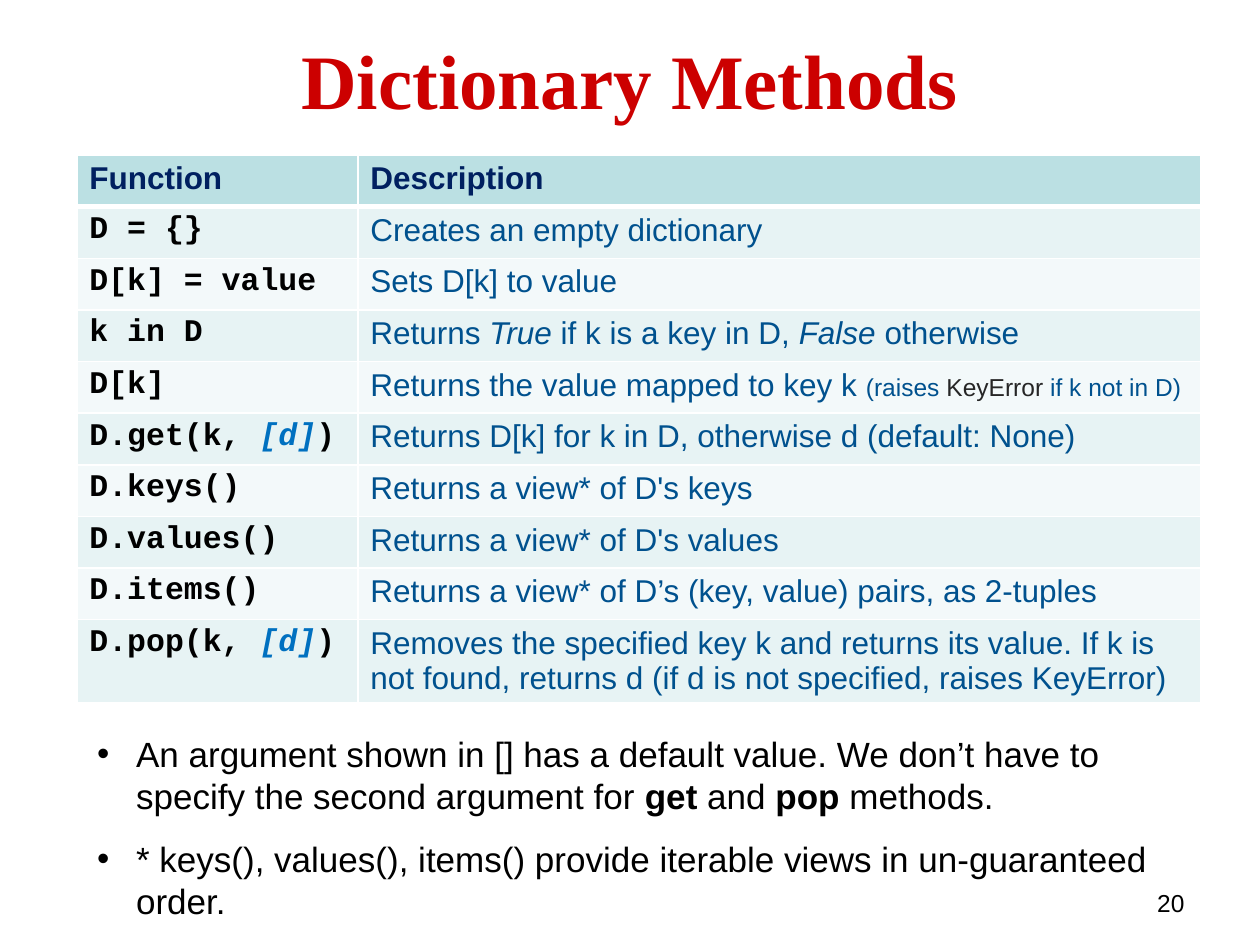
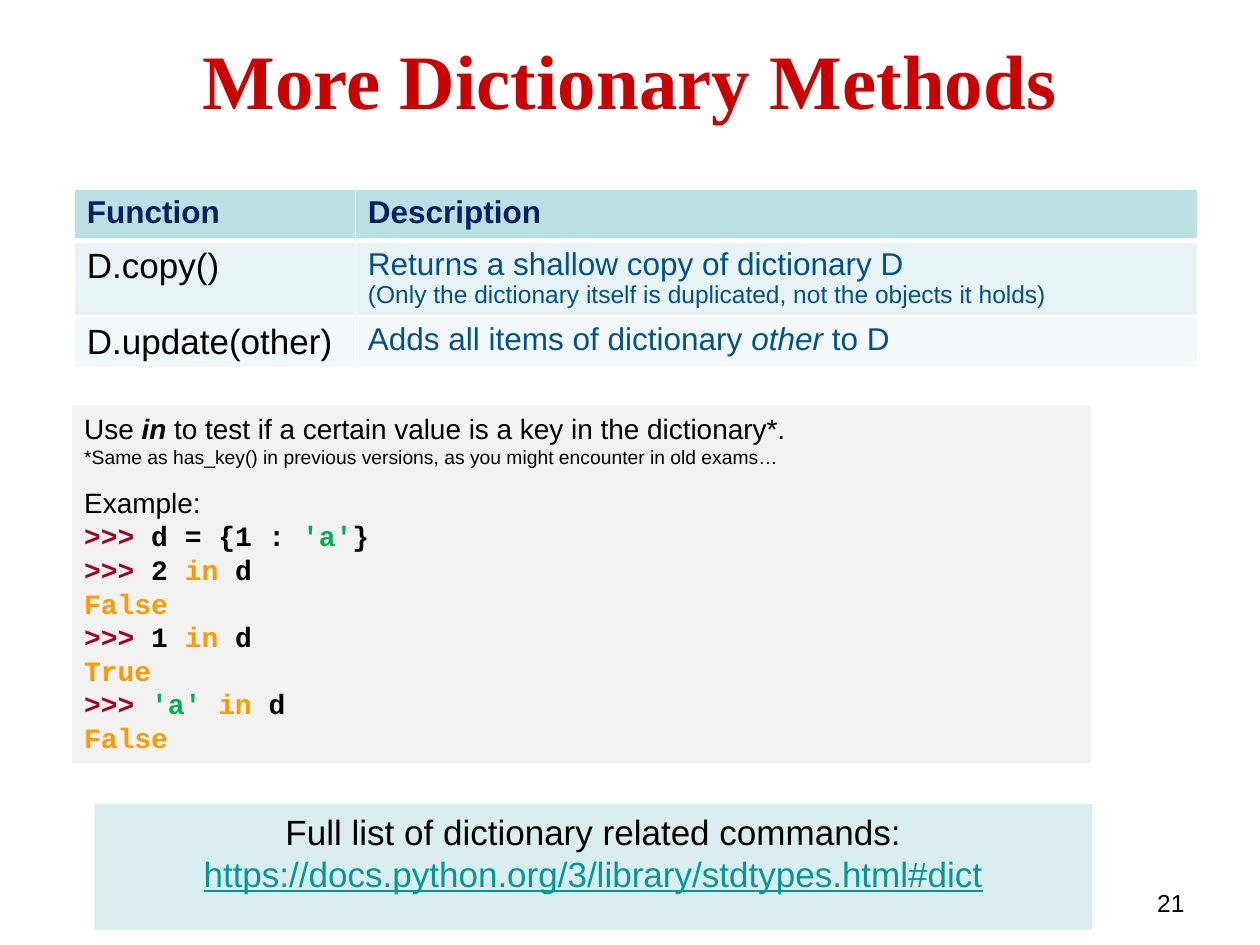
import pptx
import pptx.dml.color
import pptx.enum.shapes
import pptx.enum.text
import pptx.oxml
import pptx.oxml.ns
import pptx.util

Inches, Pt = pptx.util.Inches, pptx.util.Pt
Color = pptx.dml.color.RGBColor.from_string
Align = pptx.enum.text.PP_ALIGN

# Theme: colours, type styles and line pitch
SANS, MONO, SERIF = "Arial", "Courier New", "Times New Roman"


class Theme:
    header_fill = "BBE0E3"
    row_fills = ("E7F3F4", "F3F9FA")
    code_fill = "F2F2F2"
    link_fill = "DAEDEF"
    border = "FFFFFF"
    table_pitch = 1.11
    text_pitch = 1.2
    # style name: font, size, colour, other font attributes
    styles = {
        "title": (SERIF, 44, "CC0000", {"bold": True}),
        "number": (SANS, 14, "000000", {}),
        "body": (SANS, 20, "000000", {}),
        "strong": (SANS, 20, "000000", {"bold": True}),
        "link": (SANS, 20, "009999", {"underline": True}),
        "header": (SANS, 18, "002060", {"bold": True}),
        "call": (MONO, 18, "000000", {"bold": True}),
        "optional": (MONO, 18, "0070C0", {"bold": True, "italic": True}),
        "cell": (SANS, 18, "00518E", {}),
        "emphasis": (SANS, 18, "00518E", {"italic": True}),
        "small": (SANS, 14, "00518E", {}),
        "error": (SANS, 14, "262626", {}),
        "note": (SANS, 16, "000000", {}),
        "note key": (SANS, 16, "000000", {"bold": True, "italic": True}),
        "footnote": (SANS, 11, "000000", {}),
        "prompt": (MONO, 16, "A50021", {"bold": True}),
        "code": (MONO, 16, "000000", {"bold": True}),
        "string": (MONO, 16, "00B050", {"bold": True}),
        "keyword": (MONO, 16, "FF9900", {"bold": True}),
    }


def write_lines(text_frame, lines, pitch, **paragraph_format):
    """Write one paragraph per line; a line is a list of (text, style) runs."""
    text_frame.word_wrap = True
    text_frame.auto_size = pptx.enum.text.MSO_AUTO_SIZE.NONE
    for index, line in enumerate(lines):
        paragraph = text_frame.paragraphs[0] if index == 0 else text_frame.add_paragraph()
        largest = max(Theme.styles[style][1] for _, style in line)
        values = {"line_spacing": Pt(round(largest * pitch, 1)), "space_before": Pt(0),
                  "alignment": Align.LEFT, **paragraph_format}
        for name, value in values.items():
            setattr(paragraph, name, value)
        for text, style in line:
            run = paragraph.add_run()
            run.text = text
            family, size, color, extras = Theme.styles[style]
            values = {"name": family, "size": Pt(size), "bold": False, **extras}
            for name, value in values.items():
                setattr(run.font, name, value)
            run.font.color.rgb = Color(color)


def set_bullets(text_frame, left, indent, bullet):
    """Set the indents and the bullet element of every paragraph."""
    for paragraph in text_frame.paragraphs:
        properties = paragraph._p.get_or_add_pPr()
        properties.set("marL", str(Inches(left)))
        properties.set("indent", str(Inches(indent)))
        properties.append(pptx.oxml.parse_xml(
            f"<a:{bullet} {pptx.oxml.ns.nsdecls('a')}/>"))


# Content: table rows are (function runs, description lines)
HEADER = ([("Function", "header")], [[("Description", "header")]])
method_rows = [
    HEADER,
    ([("D = {}", "call")], [[("Creates an empty dictionary", "cell")]]),
    ([("D[k] = value", "call")], [[("Sets D[k] to value", "cell")]]),
    ([("k in D", "call")],
     [[("Returns ", "cell"), ("True", "emphasis"), (" if k is a key in D, ", "cell"),
       ("False", "emphasis"), (" otherwise", "cell")]]),
    ([("D[k]", "call")],
     [[("Returns the value mapped to key k ", "cell"), ("(raises ", "small"),
       ("KeyError", "error"), (" if k not in D)", "small")]]),
    ([("D.get(k, ", "call"), ("[d]", "optional"), (")", "call")],
     [[("Returns D[k] for k in D, otherwise d (default: None)", "cell")]]),
    ([("D.keys()", "call")], [[("Returns a view* of D's keys", "cell")]]),
    ([("D.values()", "call")], [[("Returns a view* of D's values", "cell")]]),
    ([("D.items()", "call")],
     [[("Returns a view* of D’s (key, value) pairs, as 2-tuples", "cell")]]),
    ([("D.pop(k, ", "call"), ("[d]", "optional"), (")", "call")],
     [[("Removes the specified key k and returns its value. If k is not found, "
        "returns d (if d is not specified, raises KeyError)", "cell")]]),
]
more_rows = [
    HEADER,
    ([("D.copy()", "body")],
     [[("Returns a shallow copy of dictionary D", "cell")],
      [("(Only the dictionary itself is duplicated, not the objects it holds)", "small")]]),
    ([("D.update(other)", "body")],
     [[("Adds all items of dictionary ", "cell"), ("other", "emphasis"), (" to D", "cell")]]),
]
remarks = [
    [("An argument shown in [] has a default value. We don’t have to specify "
      "the second argument for ", "body"),
     ("get", "strong"), (" and ", "body"), ("pop", "strong"), (" methods.", "body")],
    [("* keys(), values(), items() provide iterable views in un-guaranteed order.", "body")],
]
full_list = [[("Full list of dictionary related commands: ", "body"),
              ("https://docs.python.org/3/library/stdtypes.html#dict", "link")]]
example = [
    [("Use ", "note"), ("in", "note key"),
     (" to test if a certain value is a key in the dictionary*.", "note")],
    [("*Same as has_key() in previous versions, as you might encounter in old exams…",
      "footnote")],
    [("Example:", "note")],
    [(">>>", "prompt"), (" d = {1 : ", "code"), ("'a'", "string"), ("}", "code")],
    [(">>>", "prompt"), (" 2 ", "code"), ("in", "keyword"), (" d", "code")],
    [("False", "keyword")],
    [(">>>", "prompt"), (" 1 ", "code"), ("in", "keyword"), (" d", "code")],
    [("True", "keyword")],
    [(">>> ", "prompt"), ("'a' ", "string"), ("in", "keyword"), (" d", "code")],
    [("False", "keyword")],
]

# Title, table left, top and row heights, table rows, body box, body lines
slide_contents = [
    ("Dictionary Methods", 0.61, 1.23, [0.41] * 9 + [0.66], method_rows,
     (0.17, 5.76, 9.54, 2.08), remarks),
    ("More Dictionary Methods", 0.59, 1.5, [0.41, 0.6, 0.41], more_rows,
     (0.75, 6.38, 7.92, 1), full_list),
]

presentation = pptx.Presentation()
presentation.slide_width, presentation.slide_height = Inches(10), Inches(7.5)

for number, content in enumerate(slide_contents, start=20):
    title_text, table_left, table_top, heights, rows, body_box, body_lines = content
    slide = presentation.slides.add_slide(presentation.slide_layouts[1])
    title, body = slide.shapes.title, slide.placeholders[1]

    # Title and body placeholders, slide number
    number_box = slide.shapes.add_textbox(0, 0, 0, 0)
    for shape, box in ((title, (0.5, 0, 9, 1.25)), (body, body_box),
                       (number_box, (7.17, 7, 2.33, 0.25))):
        shape.left, shape.top, shape.width, shape.height = map(Inches, box)
    write_lines(title.text_frame, [[(title_text, "title")]], Theme.text_pitch,
                alignment=Align.CENTER)
    write_lines(number_box.text_frame, [[(str(number), "number")]], Theme.text_pitch,
                alignment=Align.RIGHT)
    if body_lines is remarks:
        write_lines(body.text_frame, body_lines, Theme.text_pitch, space_before=Pt(12))
        set_bullets(body.text_frame, 0.81, -0.31, 'buChar char="•"')
    else:
        write_lines(body.text_frame, body_lines, Theme.text_pitch, alignment=Align.CENTER)
        set_bullets(body.text_frame, 0, 0, "buNone")
        body.fill.solid()
        body.fill.fore_color.rgb = Color(Theme.link_fill)

    # Table of functions
    table = slide.shapes.add_table(len(rows), 2, Inches(table_left), Inches(table_top),
                                   Inches(8.92), Inches(sum(heights))).table
    for column, width in zip(table.columns, (2.23, 6.69)):
        column.width = Inches(width)
    for row_index, (function, description) in enumerate(rows):
        table.rows[row_index].height = Inches(heights[row_index])
        fill = Theme.row_fills[(row_index - 1) % 2] if row_index else Theme.header_fill
        for column_index, lines in enumerate(([function], description)):
            cell = table.cell(row_index, column_index)
            write_lines(cell.text_frame, lines, Theme.table_pitch)
            cell.fill.solid()
            cell.fill.fore_color.rgb = Color(fill)
            # The rule under the header row is heavier than the others
            widths = {"lnL": 1, "lnR": 1, "lnT": 3 if row_index == 1 else 1,
                      "lnB": 1 if row_index else 3}
            for position, (side, width) in enumerate(widths.items()):
                cell._tc.get_or_add_tcPr().insert(position, pptx.oxml.parse_xml(
                    f'<a:{side} {pptx.oxml.ns.nsdecls("a")} w="{Pt(width)}"><a:solidFill>'
                    f'<a:srgbClr val="{Theme.border}"/></a:solidFill></a:{side}>'))

# Code example on the second slide
code_box = slide.shapes.add_shape(pptx.enum.shapes.MSO_SHAPE.RECTANGLE, Inches(0.57),
                                  Inches(3.22), Inches(8.09), Inches(2.84))
code_box.shadow.inherit = False
code_box.fill.solid()
code_box.fill.fore_color.rgb = Color(Theme.code_fill)
code_box.line.fill.background()
code_box.text_frame.vertical_anchor = pptx.enum.text.MSO_ANCHOR.TOP
write_lines(code_box.text_frame, example, Theme.text_pitch)
code_box.text_frame.paragraphs[2].space_before = Pt(9.6)

presentation.save("out.pptx")
